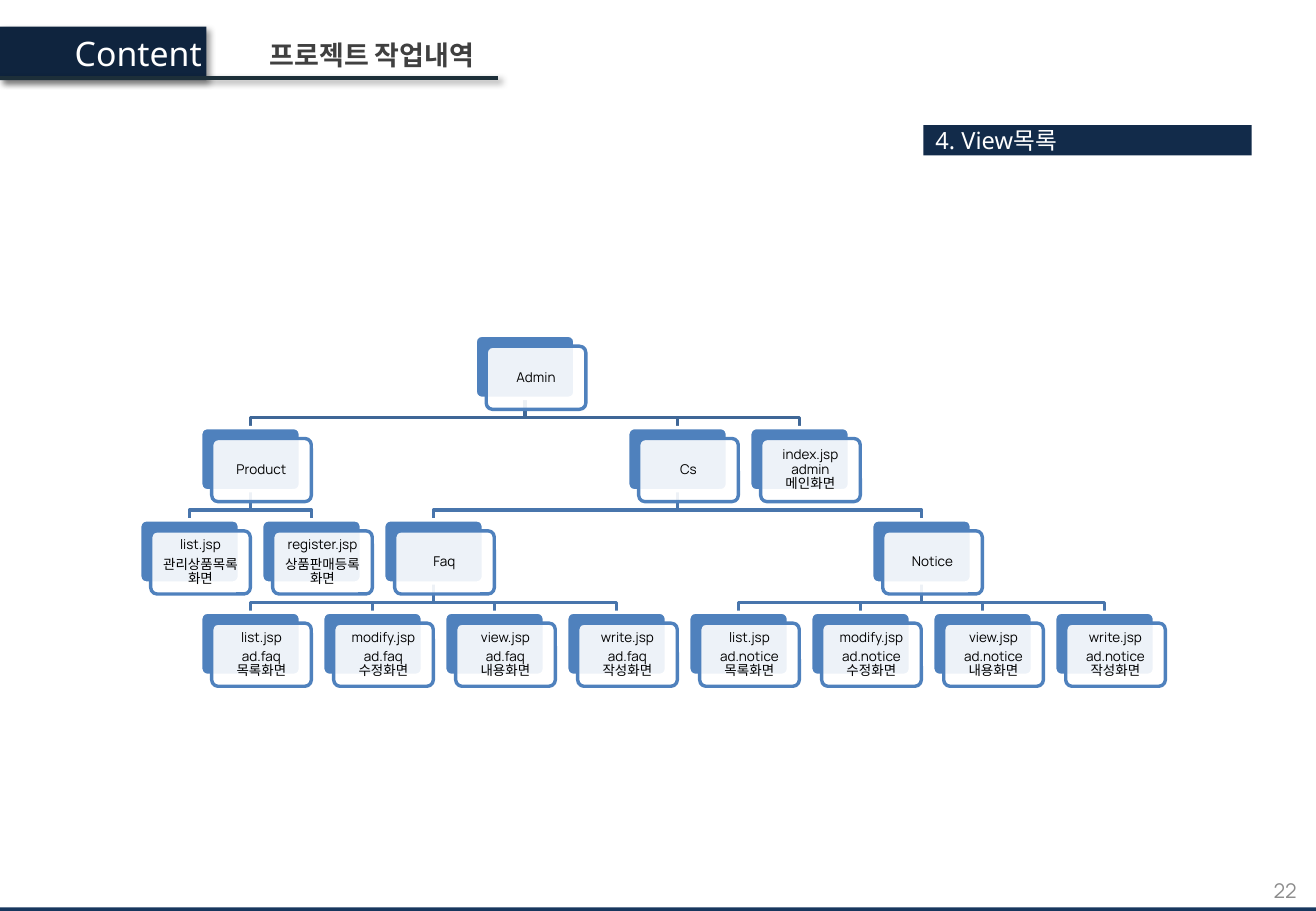
from dataclasses import dataclass, field

from pptx import Presentation
from pptx.dml.color import RGBColor
from pptx.enum.shapes import MSO_CONNECTOR, MSO_SHAPE
from pptx.enum.text import MSO_ANCHOR as Anchor, MSO_AUTO_SIZE as AutoSize, PP_ALIGN as Align
from pptx.oxml import parse_xml
from pptx.oxml.ns import nsdecls, qn
from pptx.util import Inches, Pt

WHITE = RGBColor(0xFF, 0xFF, 0xFF)
BLACK = RGBColor(0, 0, 0)
NAVY = RGBColor(0x0F, 0x24, 0x3E)
TAG_NAVY = RGBColor(0x12, 0x2B, 0x4A)
FOOTER_BLUE = RGBColor(0x17, 0x37, 0x5E)
RULE_GREY = RGBColor(0x1D, 0x2F, 0x39)
TITLE_GREY = RGBColor(0x40, 0x40, 0x40)
PAGE_GREY = RGBColor(0x8C, 0x8C, 0x8C)
CARD_BLUE = RGBColor(0x4F, 0x81, 0xBD)
TOP_LINK = RGBColor(0x3F, 0x67, 0x97)
LINK = RGBColor(0x48, 0x75, 0xAC)

BODY, HEAD = "Manrope", "Noto Sans"

FIRST_CENTRE, SLOT_PITCH = 1.56, 7.53 / 7.5
FIRST_TOP, ROW_PITCH = 2.76, 0.76
CARD_WIDTH, CARD_HEIGHT, CARD_OFFSET = 0.82, 0.52, 0.09
ELBOW_DROP = 0.16


@dataclass
class Node:
    """A card of the view tree; a leaf has a slot, a parent is centred on its children."""
    lines: list
    leaf_slot: float = 0
    children: list = field(default_factory=list)

    @property
    def slot(self):
        """Return the column position, counted in slots."""
        if not self.children:
            return self.leaf_slot
        return (self.children[0].slot + self.children[-1].slot) / 2

    @property
    def centre(self):
        """Return the horizontal centre of the back card in inches."""
        return FIRST_CENTRE + self.slot * SLOT_PITCH


class SlideBuilder:
    """Holds the style and the current slide."""

    def __init__(self, slide):
        """Keep the slide to draw on."""
        self.slide = slide
        self.shapes = slide.shapes

    def effect(self, item, shadow=False):
        """Replace the theme effect with none or with a soft shadow."""
        inner = ""
        if shadow:
            inner = (f'<a:outerShdw blurRad="{Pt(4)}" dist="{Pt(3)}" dir="2700000" algn="tl" '
                     'rotWithShape="0"><a:srgbClr val="000000"><a:alpha val="40000"/>'
                     '</a:srgbClr></a:outerShdw>')
        item._element.spPr.append(
            parse_xml(f'<a:effectLst {nsdecls("a")}>{inner}</a:effectLst>'))

    def set_text(self, shape, lines, size, font, color, align=Align.LEFT,
                 anchor=Anchor.TOP, wrap=True, bold=False):
        """Fill a text frame, one paragraph a line."""
        frame = shape.text_frame
        frame.auto_size = AutoSize.NONE
        frame.word_wrap = wrap
        frame.vertical_anchor = anchor
        for index, line in enumerate(lines):
            para = frame.add_paragraph() if index else frame.paragraphs[0]
            para.alignment = align
            span = para.add_run()
            span.text = line
            span.font.size = Pt(size)
            span.font.name = font
            span.font.bold = bold
            span.font.color.rgb = color
        return frame

    def text(self, left, top, width, height, line, *style, **options):
        """Add a text box with one line."""
        box = self.shapes.add_textbox(Inches(left), Inches(top), Inches(width), Inches(height))
        self.set_text(box, [line], *style, **options)

    def title(self, left, top, width, height, line, *style, **options):
        """Move and format the title placeholder."""
        box = self.shapes.title
        box.left, box.top = Inches(left), Inches(top)
        box.width, box.height = Inches(width), Inches(height)
        self.set_text(box, [line], *style, **options)

    def block(self, left, top, width, height, fill, line=None,
              kind=MSO_SHAPE.RECTANGLE, shadow=False):
        """Add a filled preset shape."""
        shape = self.shapes.add_shape(kind, Inches(left), Inches(top),
                                      Inches(width), Inches(height))
        shape.fill.solid()
        shape.fill.fore_color.rgb = fill
        if line is None:
            shape.line.fill.background()
        else:
            shape.line.color.rgb = line
            shape.line.width = Pt(2)
        self.effect(shape, shadow)
        return shape

    def rule(self, left, right, top, color, width):
        """Add a horizontal line with a shadow."""
        line = self.shapes.add_connector(MSO_CONNECTOR.STRAIGHT, Inches(left), Inches(top),
                                         Inches(right), Inches(top))
        line.line.color.rgb = color
        line.line.width = Pt(width)
        self.effect(line, shadow=True)

    def elbow(self, start, end, color):
        """Add a bent link from a parent card down to a child card."""
        (left, top), (right, bottom) = start, end
        bend = top + ELBOW_DROP
        outline = self.shapes.build_freeform(Inches(left), Inches(top))
        outline.add_line_segments([(Inches(x), Inches(y)) for x, y in
                                   ((left, bend), (right, bend), (right, bottom))], close=False)
        link = outline.convert_to_shape()
        link.fill.background()
        link.line.color.rgb = color
        link.line.width = Pt(2)
        self.effect(link)

    def card(self, left, top, lines):
        """Add a blue back card and a translucent front card with text."""
        for shift, fill, line in ((0, CARD_BLUE, WHITE), (CARD_OFFSET, WHITE, CARD_BLUE)):
            front = self.block(left + shift, top + shift, CARD_WIDTH, CARD_HEIGHT,
                               fill, line, MSO_SHAPE.ROUNDED_RECTANGLE)
            front.adjustments[0] = 0.1
        tint = front._element.spPr.find(qn("a:solidFill"))[0]
        tint.append(parse_xml(f'<a:alpha {nsdecls("a")} val="90000"/>'))
        frame = self.set_text(front, lines, 8, BODY, BLACK, Align.CENTER, Anchor.MIDDLE)
        frame.margin_left = frame.margin_right = Inches(0.03)
        frame.margin_top = frame.margin_bottom = Inches(0.03)
        for para in frame.paragraphs:
            para.line_spacing = 0.9
            para.space_after = Pt(2.8)

    def links(self, node, level=0):
        """Draw the links below a node."""
        top = FIRST_TOP + level * ROW_PITCH
        for child in node.children:
            self.elbow((node.centre, top + CARD_HEIGHT), (child.centre, top + ROW_PITCH),
                       LINK if level else TOP_LINK)
            self.links(child, level + 1)

    def cards(self, node, level=0):
        """Draw the card of a node and those below it."""
        self.card(node.centre - CARD_WIDTH / 2, FIRST_TOP + level * ROW_PITCH, node.lines)
        for child in node.children:
            self.cards(child, level + 1)


def board(name, folder, first_slot):
    """Return a board node with its four views."""
    views = (("list", "목록"), ("modify", "수정"), ("view", "내용"), ("write", "작성"))
    return Node([name], children=[
        Node([f"{view}.jsp", f"{folder} {label}화면"], first_slot + index)
        for index, (view, label) in enumerate(views)])


product = Node(["Product"], children=[Node(["list.jsp", "관리상품목록 화면"], 0),
                                      Node(["register.jsp", "상품판매등록 화면"], 1)])
support = Node(["Cs"], children=[board("Faq", "ad.faq", 0.5), board("Notice", "ad.notice", 4.5)])
admin = Node(["Admin"], children=[product, support, Node(["index.jsp admin 메인화면"], 5)])

deck = Presentation()
deck.slide_width, deck.slide_height = Inches(10.83), Inches(7.5)
page = SlideBuilder(deck.slides.add_slide(deck.slide_layouts[5]))

page.block(0, 7.47, 10.83, 0.03, FOOTER_BLUE)
page.text(8.24, 7.13, 2.53, 0.4, "22", 12, BODY, PAGE_GREY,
          align=Align.RIGHT, anchor=Anchor.MIDDLE)
tag = page.block(7.6, 1.03, 2.7, 0.25, TAG_NAVY)
page.set_text(tag, ["4. View목록"], 14, HEAD, WHITE, anchor=Anchor.MIDDLE)
page.block(0, 0.22, 1.7, 0.44, NAVY, shadow=True)
page.text(0.5, 0.22, 1.26, 0.44, "Content", 20, HEAD, WHITE, align=Align.RIGHT, wrap=False)
page.title(2.12, 0.27, 2.04, 0.37, "프로젝트 작업내역", 16, BODY, TITLE_GREY,
           wrap=False, bold=True)
page.rule(0, 4.1, 0.64, RULE_GREY, 2.25)
page.links(admin)
page.cards(admin)

deck.save("out.pptx")
